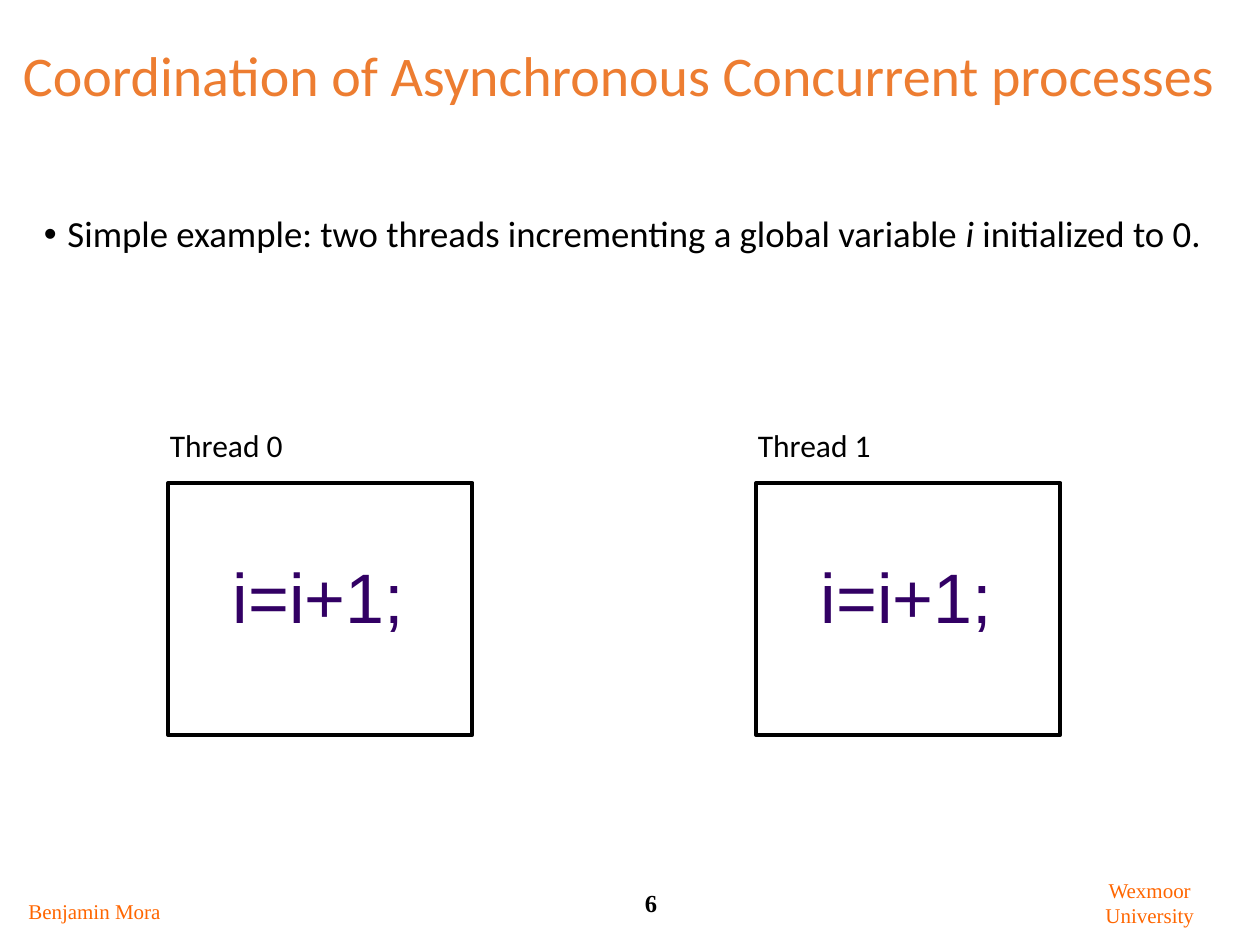
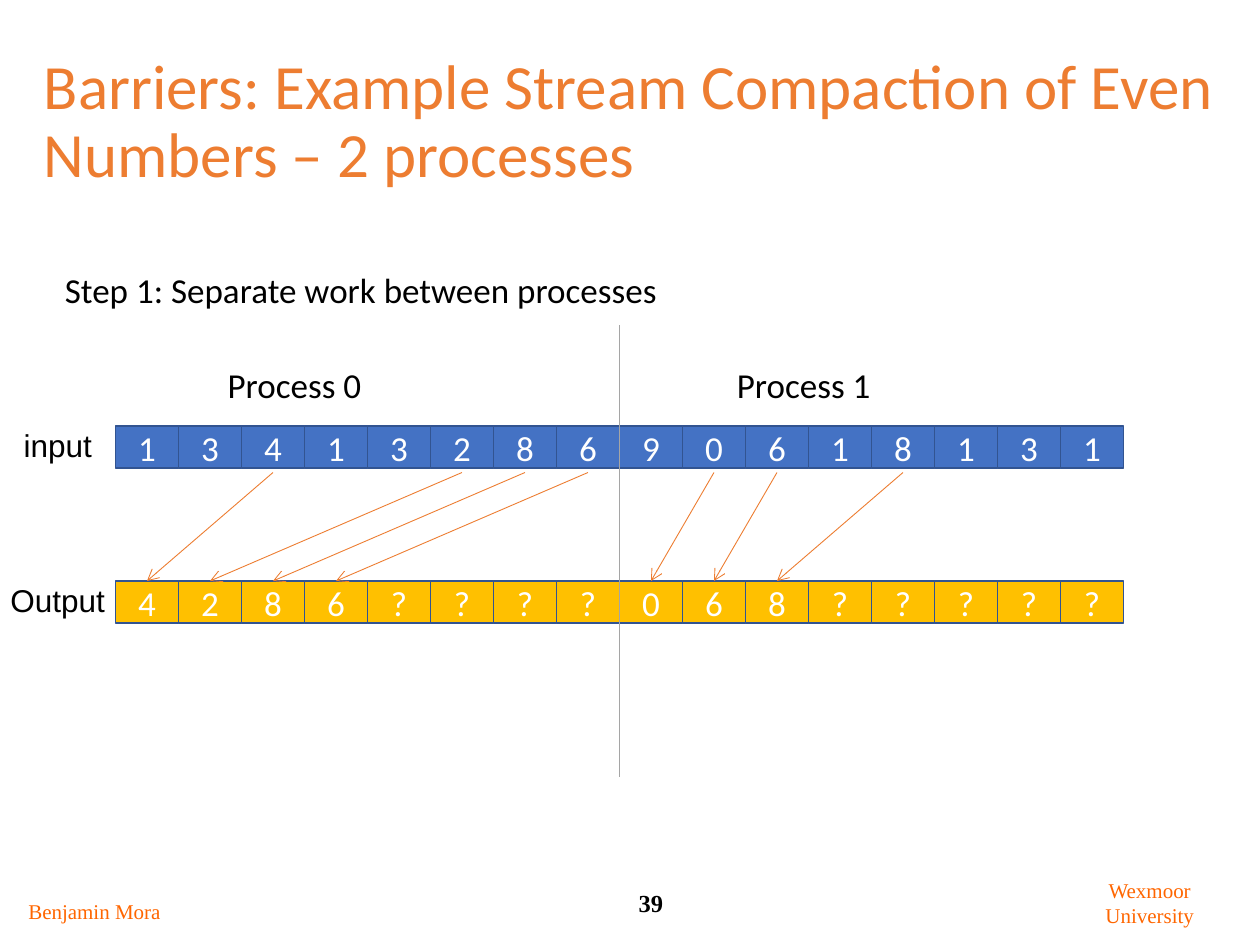
import pptx
import pptx.util
import pptx.dml.color
import pptx.enum.shapes
import pptx.enum.text
import lxml.etree
import dataclasses

Pt = pptx.util.Pt
ALIGN = pptx.enum.text.PP_ALIGN
ANCHOR = pptx.enum.text.MSO_ANCHOR
RECT = pptx.enum.shapes.MSO_SHAPE.RECTANGLE
LINE = pptx.enum.shapes.MSO_CONNECTOR.STRAIGHT


@dataclasses.dataclass(frozen=True)
class Theme:
    sans: str = "Calibri"
    code: str = "Arial"
    serif: str = "Times New Roman"
    head: str = "ED7D31"
    foot: str = "FF6600"
    ink: str = "000000"
    paper: str = "FFFFFF"
    violet: str = "320064"
    blue: str = "4472C4"
    gold: str = "FFC000"
    edge: str = "325491"
    grey: str = "A5A5A5"
    small: float = 12
    page: float = 14
    label: float = 18
    text: float = 20
    body: float = 21
    title: float = 32
    large: float = 36
    huge: float = 40


T = Theme()


def color(hue):
    return pptx.dml.color.RGBColor.from_string(hue)


def child(node, tag, **attrs):
    name = pptx.oxml.ns.qn(tag)
    return lxml.etree.SubElement(node, name, attrs)


def write(shape, text, font=T.sans, size=T.text, hue=T.ink, bold=False,
          align=ALIGN.LEFT, anchor=ANCHOR.TOP, lead=None, bullet=False,
          side=7.2, top=3.6):
    """Fill a shape with one paragraph; text is a string or (words, italic) pairs."""
    frame = shape.text_frame
    frame.word_wrap = True
    frame.vertical_anchor = anchor
    frame.margin_left = frame.margin_right = Pt(side)
    frame.margin_top, frame.margin_bottom = Pt(top), Pt(3.6)
    para = frame.paragraphs[0]
    para.alignment = align
    if lead:
        para.line_spacing = lead
    if bullet:
        props = para._p.get_or_add_pPr()
        props.set("marL", str(Pt(13.5)))
        props.set("indent", str(Pt(-13.5)))
        child(props, "a:buFont", typeface="Arial")
        child(props, "a:buChar", char="•")
    for words, slant in [(text, False)] if isinstance(text, str) else text:
        run = para.add_run()
        run.text = words
        run.font.name, run.font.size = font, Pt(size)
        run.font.bold, run.font.italic = bold, slant
        run.font.color.rgb = color(hue)


def label(shapes, box, text, **style):
    write(shapes.add_textbox(*map(Pt, box)), text, **style)


def block(shapes, box, fill=None, edge=T.edge, width=1):
    shape = shapes.add_shape(RECT, *map(Pt, box))
    shape.shadow.inherit = False
    if fill:
        shape.fill.solid()
        shape.fill.fore_color.rgb = color(fill)
    else:
        shape.fill.background()
    shape.line.color.rgb = color(edge)
    shape.line.width = Pt(width)
    return shape


def rule(shapes, start, end, hue=T.head, arrow=False):
    link = shapes.add_connector(LINE, *map(Pt, start + end))
    link.line.color.rgb = color(hue)
    link.line.width = Pt(0.5)
    if arrow:
        child(link.line._get_or_add_ln(), "a:tailEnd", type="arrow")
    child(link._element.spPr, "a:effectLst")


def base(deck, number, title, box, size, top=3.6):
    """Add a blank slide with its title and footers."""
    shapes = deck.slides.add_slide(deck.slide_layouts[6]).shapes
    label(shapes, box, title, size=size, hue=T.head, lead=0.9,
          anchor=ANCHOR.MIDDLE, top=top)
    foot = dict(font=T.serif, align=ALIGN.CENTER)
    label(shapes, (324, 504, 96, 24), number, size=T.page, bold=True, **foot)
    label(shapes, (6, 510, 96, 21.6), "Benjamin Mora",
          size=T.small, hue=T.foot, **foot)
    label(shapes, (600, 498, 114, 21.6), "Wexmoor University",
          size=T.small, hue=T.foot, **foot)
    return shapes


def thread(shapes, box, name):
    """Draw a framed statement with the thread name above it."""
    left, top, width, height = box
    group = shapes.add_group_shape().shapes
    label(group, (left + 36, top + 78, 132, 60), "i=i+1;", font=T.code,
          size=T.huge, hue=T.violet, lead=0.9)
    block(group, (left + 6, top + 36, width - 6, height - 36),
          edge=T.ink, width=2.25)
    label(group, (left, top, width, 28.8), name, size=T.label)


def cells(shapes, box, values, fill):
    """Draw one array as a row of equal cells."""
    left, top, width, height = box
    step = width / len(values)
    for i, value in enumerate(values):
        cell = block(shapes, (left + i * step, top, step, height), fill)
        write(cell, str(value), hue=T.paper, align=ALIGN.CENTER,
              anchor=ANCHOR.MIDDLE)


def pack(values, half):
    """Move even values to the front of each half; return result and moves."""
    out, moves = ["?"] * len(values), []
    for start in range(0, len(values), half):
        spot = start
        for i in range(start, start + half):
            if values[i] % 2 == 0:
                out[spot] = values[i]
                moves.append((i, spot))
                spot += 1
    return out, moves


def stream(shapes, box, values):
    """Draw input and output arrays, the moves and the process split."""
    left, top, width, height = box
    tall, low = 24, top + height - 24
    half, step = len(values) // 2, width / len(values)
    out, moves = pack(values, half)
    cells(shapes, (left, top, width, tall), values, T.blue)
    cells(shapes, (left, low, width, tall), out, T.gold)

    # Array names
    name = dict(font=T.code, size=T.label, align=ALIGN.CENTER, side=0)
    label(shapes, (left - 60, top - 3.5, 54, 28.8), "input", **name)
    label(shapes, (left - 72, low - 3.5, 78, 28.8), "Output", **name)

    # Moves of the even values
    for src, spot in moves:
        rule(shapes, (left + (src + 0.5) * step, top + tall + 2.5),
             (left + (spot + 0.5) * step, low), arrow=True)

    # Split between the processes
    mid = left + half * step
    rule(shapes, (mid, top - 57.5), (mid, low + 112), hue=T.grey)
    for i in range(2):
        label(shapes, (left + 57 + i * 291, top - 39.5, 198, 31.5),
              f"Process {i}")


def threads(deck):
    shapes = base(deck, "6", "Coordination of Asynchronous Concurrent processes",
                  (6, 12, 696, 66), T.title)
    label(shapes, (18, 120, 684, 378),
          [("Simple example: two threads incrementing a global variable ", False),
           ("i", True), (" initialized to 0.", False)],
          size=T.body, lead=0.9, bullet=True)
    for i in range(2):
        thread(shapes, (90 + i * 336, 240, 180, 180), f"Thread {i}")


def barriers(deck):
    shapes = base(
        deck, "39",
        "Barriers: Example Stream Compaction of Even Numbers – 2 processes",
        (18, 12, 684, 78), T.large, top=42.5)
    label(shapes, (30, 150, 642, 31.5), "Step 1: Separate work between processes")
    stream(shapes, (66, 243.5, 576, 112.5),
           [1, 3, 4, 1, 3, 2, 8, 6, 9, 0, 6, 1, 8, 1, 3, 1])


def main():
    deck = pptx.Presentation()
    deck.slide_width, deck.slide_height = Pt(720), Pt(540)
    threads(deck)
    barriers(deck)
    deck.save("out.pptx")


if __name__ == "__main__":
    main()
